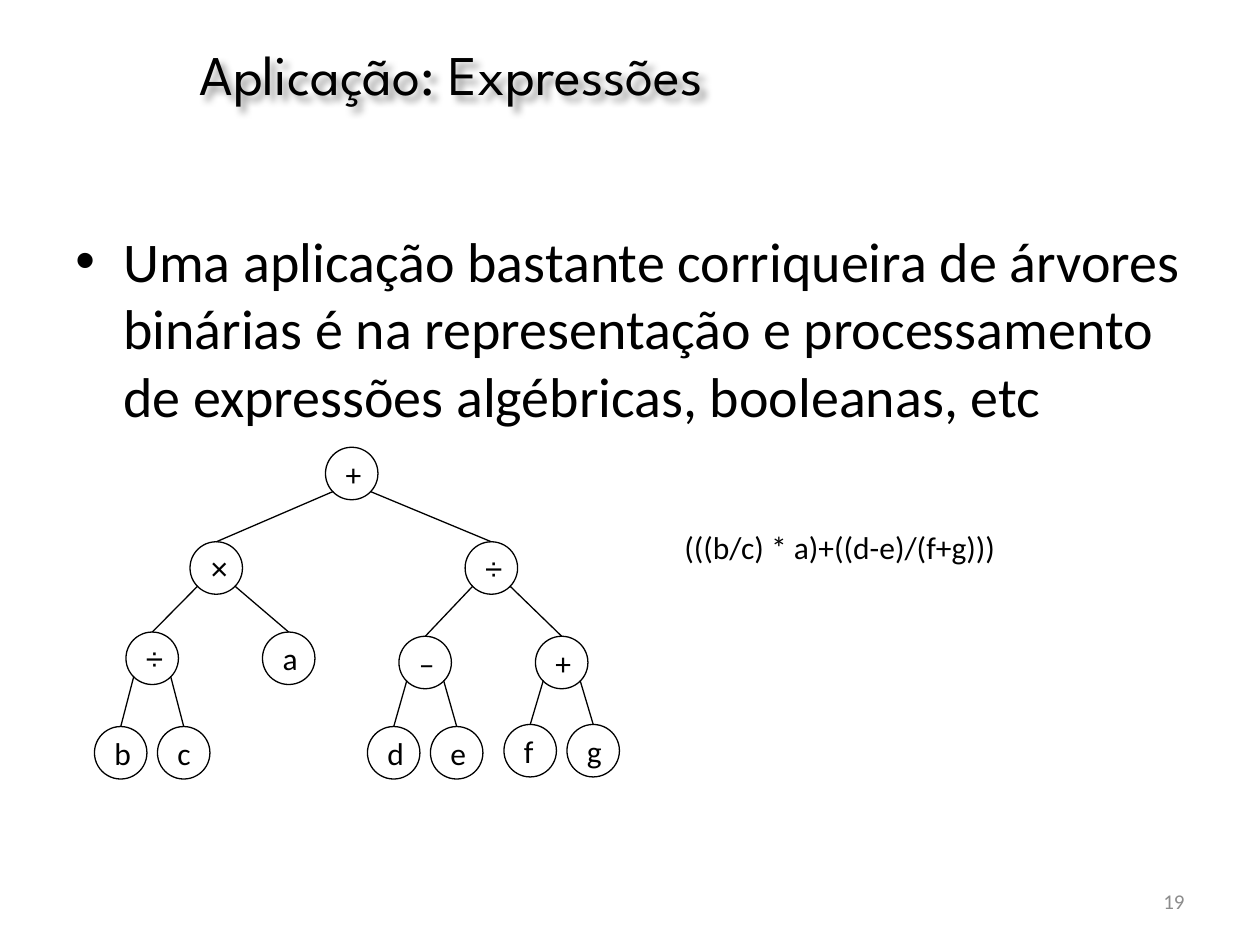
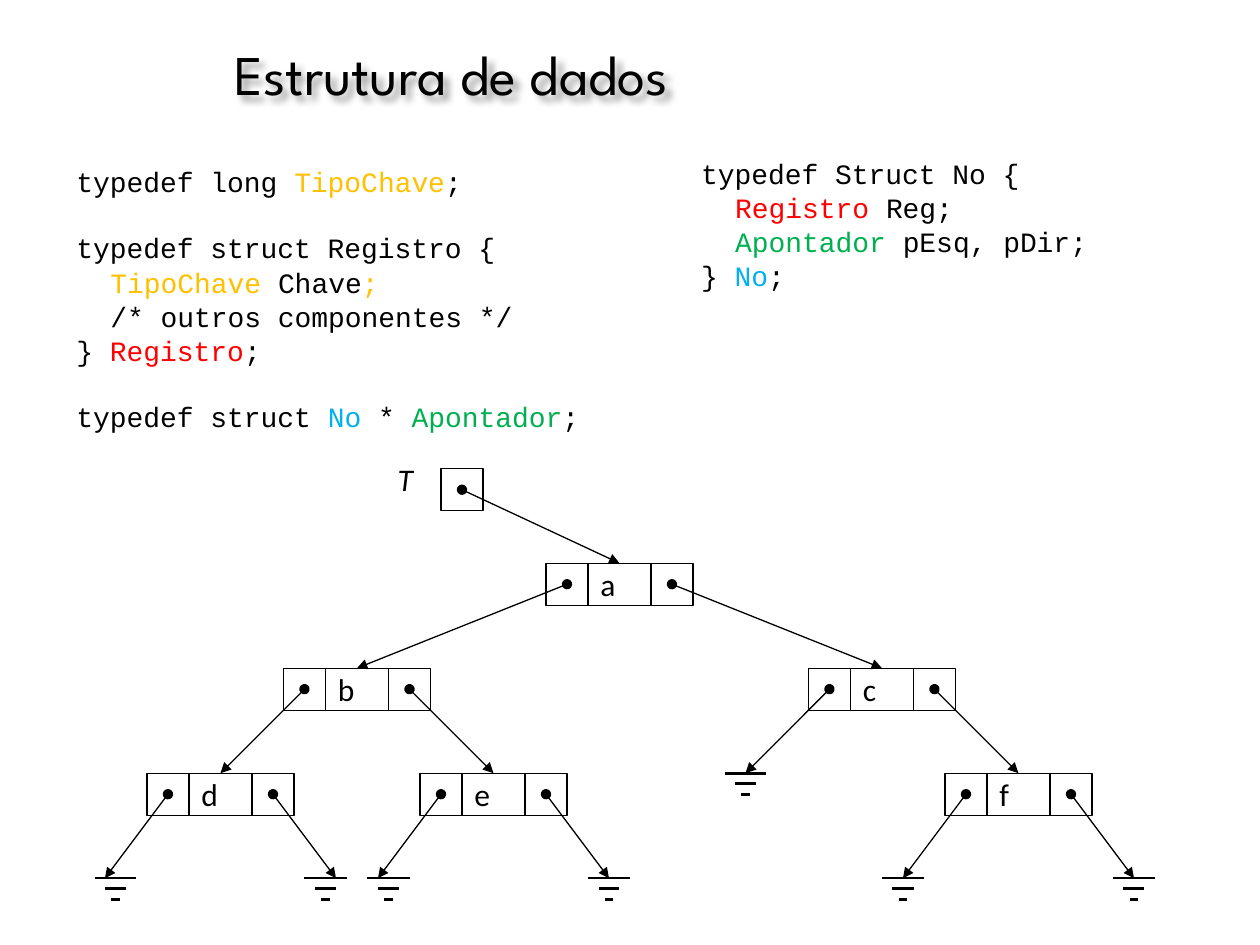
from lxml import etree
from pptx import Presentation
from pptx.dml.color import RGBColor
from pptx.enum.shapes import MSO_CONNECTOR, MSO_SHAPE
from pptx.enum.text import MSO_ANCHOR, PP_ALIGN
from pptx.oxml.ns import qn
from pptx.util import Inches, Pt

BLACK = RGBColor(0x00, 0x00, 0x00)
GRAY = RGBColor(0x8C, 0x8C, 0x8C)
AMBER = RGBColor(0xFF, 0xC0, 0x00)
RED = RGBColor(0xFF, 0x00, 0x00)
BLUE = RGBColor(0x00, 0xB0, 0xF0)
GREEN = RGBColor(0x00, 0xB0, 0x50)
TITLE_FONT, BODY_FONT, CODE_FONT, SIGN_FONT = "League Spartan", "Calibri", "Courier New", "Arial"

COLUMNS, ROWS = 120, 90
CELL = Inches(10) / COLUMNS
CODE_PITCH = 18.6
CODE_GAP = 4.1


def cells(*counts):
    return [round(count * CELL) for count in counts]


def add_run(paragraph, text, size, font=BODY_FONT, color=BLACK, italic=False):
    run = paragraph.add_run()
    run.text = text
    run.font.size = Pt(size)
    run.font.name = font
    run.font.color.rgb = color
    run.font.italic = italic


def add_frame(slide, box, anchor=MSO_ANCHOR.TOP, wrap=True):
    """Add a text box and return its shape and first paragraph."""
    holder = slide.shapes.add_textbox(*cells(*box))
    frame = holder.text_frame
    frame.word_wrap = wrap
    frame.vertical_anchor = anchor
    return holder, frame.paragraphs[0]


def add_child(parent, tag, **attributes):
    return etree.SubElement(parent, qn(tag), {key: str(value) for key, value in attributes.items()})


def add_line(shapes, start, end, weight=0.75, pointer=False):
    line = shapes.add_connector(MSO_CONNECTOR.STRAIGHT, *cells(*start, *end))
    line.line.color.rgb = BLACK
    line.line.width = Pt(weight)
    if pointer:
        outline = line.line._get_or_add_ln()
        add_child(outline, "a:headEnd", type="oval")
        add_child(outline, "a:tailEnd", type="triangle")
    add_child(line._element.spPr, "a:effectLst")


def add_outline(slide, kind, box, label="", font=BODY_FONT):
    outline = slide.shapes.add_shape(kind, *cells(*box))
    outline.shadow.inherit = False
    outline.fill.background()
    outline.line.color.rgb = BLACK
    outline.line.width = Pt(0.75)
    if label:
        frame = outline.text_frame
        frame.word_wrap = False
        frame.vertical_anchor = MSO_ANCHOR.MIDDLE
        frame.paragraphs[0].alignment = PP_ALIGN.LEFT
        add_run(frame.paragraphs[0], label, 18, font)


def add_title(slide, text):
    holder, paragraph = add_frame(slide, (0, 1.9, 86, 10.1), MSO_ANCHOR.MIDDLE)
    paragraph.alignment = PP_ALIGN.CENTER
    add_run(paragraph, text, 32, TITLE_FONT)
    effects = add_child(holder._element.spPr, "a:effectLst")
    shadow = add_child(effects, "a:outerShdw", blurRad=Pt(4), dist=Pt(4), dir=45 * 60000)
    color = add_child(shadow, "a:srgbClr", val=BLACK)
    add_child(color, "a:alpha", val=40000)


def add_page_number(slide, number):
    _, paragraph = add_frame(slide, (86, 83.4, 28, 4.8), MSO_ANCHOR.MIDDLE)
    paragraph.alignment = PP_ALIGN.RIGHT
    add_run(paragraph, number, 12, color=GRAY)


def add_bullet(slide, box, text):
    _, paragraph = add_frame(slide, box)
    properties = paragraph._p.get_or_add_pPr()
    properties.set("marL", str(Inches(0.38)))
    properties.set("indent", str(-Inches(0.38)))
    add_child(properties, "a:buFont", typeface="Arial")
    add_child(properties, "a:buChar", char="•")
    add_run(paragraph, text, 32)


# Operator or operand: (label, column, row, parent), measured from the tree's corner.
EXPRESSION = {
    "sum": ("+", 22, 0, None),
    "product": ("×", 9.1, 9, "sum"),
    "quotient": ("÷", 35.3, 9, "sum"),
    "ratio": ("÷", 3, 17.6, "product"),
    "a": ("a", 16, 17.6, "product"),
    "difference": ("–", 29, 18, "quotient"),
    "addition": ("+", 42, 18, "quotient"),
    "b": ("b", 0, 26.6, "ratio"),
    "c": ("c", 6, 26.6, "ratio"),
    "d": ("d", 26, 26.6, "difference"),
    "e": ("e", 32, 26.6, "difference"),
    "f": ("f", 39, 26.4, "addition"),
    "g": ("g", 45, 26.4, "addition"),
}


def add_expression_tree(slide, left, top):
    diameter, inset, drop = 5, 0.75, 4.2
    for label, column, row, parent in EXPRESSION.values():
        x, y = left + column, top + row
        font = SIGN_FONT if label in "÷×" else BODY_FONT
        add_outline(slide, MSO_SHAPE.OVAL, (x, y, diameter, diameter), label, font)
        if parent:
            _, parent_column, parent_row, _ = EXPRESSION[parent]
            side = inset if column < parent_column else diameter - inset
            start = (left + parent_column + side, top + parent_row + drop)
            add_line(slide.shapes, start, (x + diameter / 2, y))


# Code line: (indented, blank lines above, coloured pieces).
KEY_CODE = [
    (False, 0, [("typedef long ", BLACK), ("TipoChave", AMBER), (";", BLACK)]),
    (False, 1, [("typedef struct Registro {", BLACK)]),
    (True, 0, [("TipoChave ", AMBER), ("Chave", BLACK), (";", AMBER)]),
    (True, 0, [("/* outros componentes */", BLACK)]),
    (False, 0, [("} ", BLACK), ("Registro", RED), (";", BLACK)]),
    (False, 1, [("typedef struct ", BLACK), ("No", BLUE), (" * ", BLACK),
                ("Apontador", GREEN), (";", BLACK)]),
]
NODE_CODE = [
    (False, 0, [("typedef Struct No {", BLACK)]),
    (True, 0, [("Registro ", RED), ("Reg;", BLACK)]),
    (True, 0, [("Apontador ", GREEN), ("pEsq, pDir;", BLACK)]),
    (False, 0, [("} ", BLACK), ("No", BLUE), (";", BLACK)]),
]


def add_code(slide, box, lines, lead):
    """Write code lines, the first one lead inches below the box's top."""
    holder, paragraph = add_frame(slide, box)
    frame = holder.text_frame
    frame.margin_top = Inches(lead)
    for index, (indented, blanks, pieces) in enumerate(lines):
        if index:
            paragraph = frame.add_paragraph()
        paragraph.line_spacing = 0.8
        paragraph.space_before = Pt(CODE_GAP + blanks * CODE_PITCH)
        if indented:
            paragraph._p.get_or_add_pPr().set("marL", str(Inches(0.27)))
        for text, color in pieces:
            add_run(paragraph, text, 16, CODE_FONT, color)


# Record: (column, level, left target, right target); a target is a record or
# the (arrow tip, symbol centre) columns of a null pointer.
RECORDS = {
    "a": (43, 1, "b", "c"),
    "b": (18, 2, "d", "e"),
    "c": (68, 2, (62, 62), "f"),
    "d": (5, 3, (1, 2), (23, 22)),
    "e": (31, 3, (27, 28), (49, 49)),
    "f": (81, 3, (77, 77), (99, 99)),
}


def add_null(slide, center, top):
    bars = slide.shapes.add_group_shape().shapes
    for step, half in enumerate((2, 1, 0.4)):
        add_line(bars, (center - half, top + step), (center + half, top + step), 1.5)


def add_linked_tree(slide, left, top):
    pointer, key, root_column = 4, 6, 33
    width = 2 * pointer + key

    def level_top(level):
        return top + (10 * level - 1 if level else 0)

    def point_to_record(start, name):
        column, level, *_ = RECORDS[name]
        add_line(slide.shapes, start, (left + column + width / 2, level_top(level)), pointer=True)

    for name, (column, level, *targets) in RECORDS.items():
        x, y = left + column, level_top(level)
        add_outline(slide, MSO_SHAPE.RECTANGLE, (x + pointer, y, key, pointer), name)
        for offset, target in zip((0, pointer + key), targets):
            add_outline(slide, MSO_SHAPE.RECTANGLE, (x + offset, y, pointer, pointer))
            start = (x + offset + pointer / 2, y + pointer / 2)
            if target in RECORDS:
                point_to_record(start, target)
            else:
                tip, center = target
                ground = level_top(level + 1)
                add_line(slide.shapes, start, (left + tip, ground), pointer=True)
                add_null(slide, left + center, ground)

    root = left + root_column
    _, root_label = add_frame(slide, (root - 5.3, top - 1.4, 4.7, 6), wrap=False)
    add_run(root_label, "T", 18, italic=True)
    add_outline(slide, MSO_SHAPE.RECTANGLE, (root, top, pointer, pointer))
    point_to_record((root + pointer / 2, top + pointer / 2), "a")


def build_expression_slide(slide):
    add_page_number(slide, "19")
    add_title(slide, "Aplicação: Expressões")
    add_bullet(slide, (6, 21, 108, 59.4),
               "Uma aplicação bastante corriqueira de árvores binárias é na representação "
               "e processamento de expressões algébricas, booleanas, etc")
    add_expression_tree(slide, 9, 42.6)
    _, formula = add_frame(slide, (64, 49.7, 43, 6), wrap=False)
    add_run(formula, "(((b/c) * a)+((d-e)/(f+g)))", 18)


def build_structure_slide(slide):
    add_title(slide, "Estrutura de dados")
    add_code(slide, (6.1, 12.2, 108, 66), KEY_CODE, 0.34)
    add_code(slide, (65.6, 11.9, 58.6, 66), NODE_CODE, 0.3)
    add_linked_tree(slide, 9, 44.64)


def main():
    deck = Presentation()
    deck.slide_width, deck.slide_height = cells(COLUMNS, ROWS)
    blank = deck.slide_layouts[6]
    for build in (build_expression_slide, build_structure_slide):
        build(deck.slides.add_slide(blank))
    deck.save("out.pptx")


if __name__ == "__main__":
    main()
